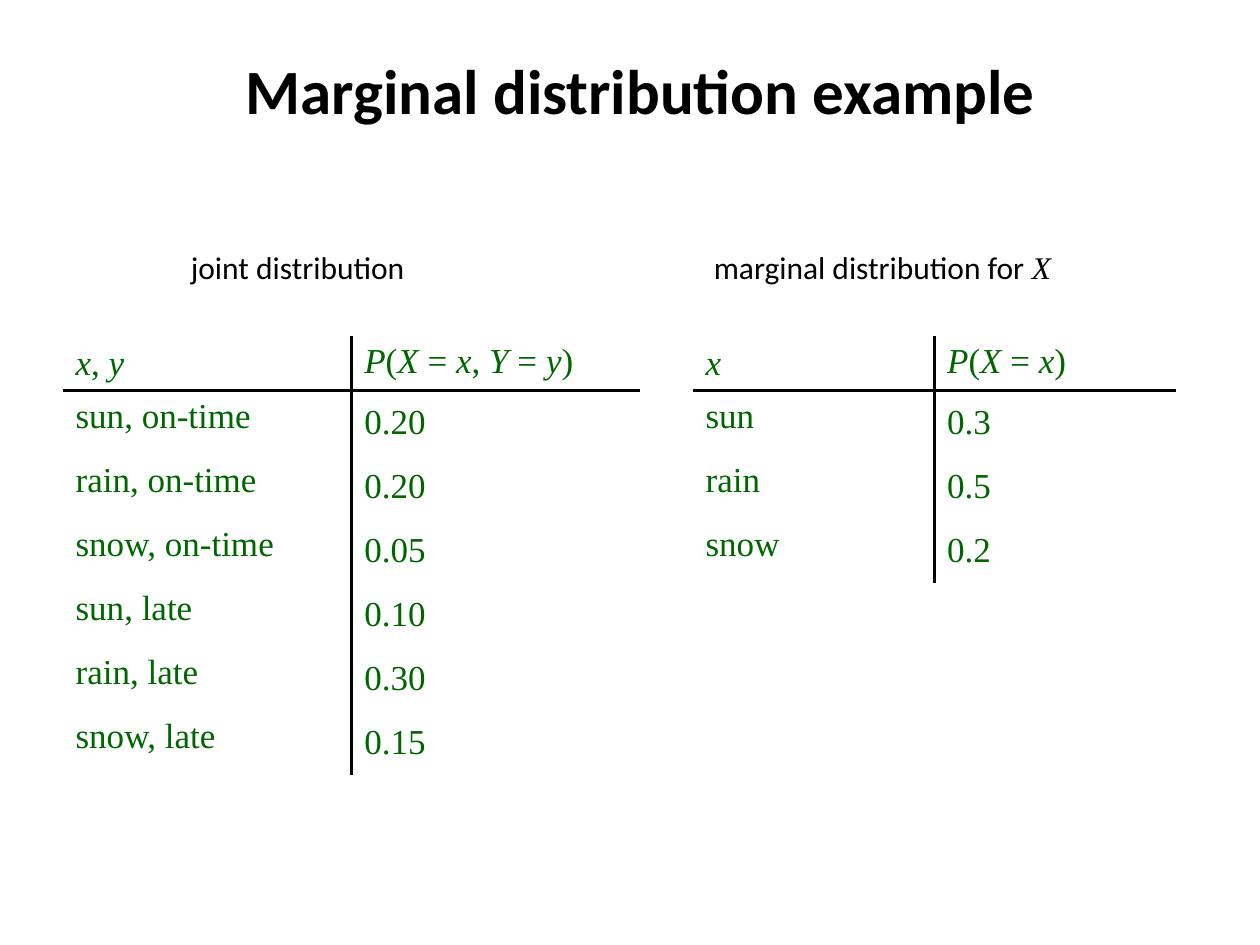
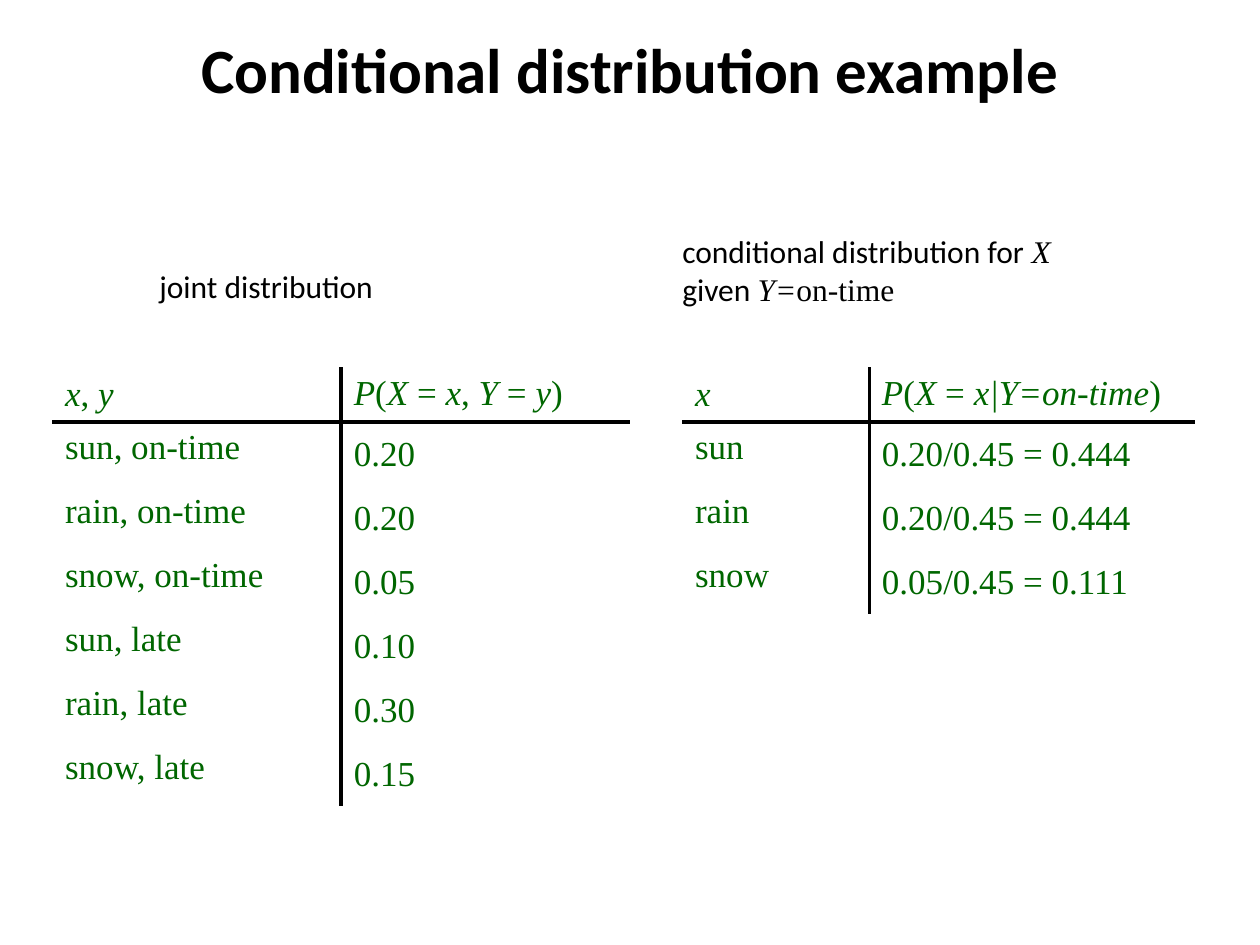
from dataclasses import dataclass, replace

from lxml.etree import SubElement
from pptx import Presentation
from pptx.dml.color import RGBColor
from pptx.enum.text import MSO_VERTICAL_ANCHOR as Anchor, PP_PARAGRAPH_ALIGNMENT as Align
from pptx.oxml.ns import qn
from pptx.util import Pt

EMU_PER_PX = 7620  # 120 px to the inch


@dataclass(frozen=True)
class TextStyle:
    font: str
    size: int
    color: str
    bold: bool = False
    italic: bool = False


@dataclass(frozen=True)
class Theme:
    title: TextStyle = TextStyle("Calibri", 36, "000000", bold=True)
    caption: TextStyle = TextStyle("Calibri", 18, "000000")
    symbol: TextStyle = TextStyle("Times New Roman", 18, "000000")
    cell: TextStyle = TextStyle("Times New Roman", 20, "006600")
    rule_color: str = "000000"
    rule_width: float = 2.25
    space_before: int = 20  # percent of the line


THEME = Theme()
VARIABLE = replace(THEME.symbol, italic=True)
HEADER_HEIGHT, ROW_HEIGHT = 50, 61

JOINT_ROWS = [
    ("*x*, *y*", "*P*(*X* = *x*, *Y* = *y*)"),
    ("sun, on-time", "0.20"),
    ("rain, on-time", "0.20"),
    ("snow, on-time", "0.05"),
    ("sun, late", "0.10"),
    ("rain, late", "0.30"),
    ("snow, late", "0.15"),
]
MARGINAL_ROWS = [
    ("*x*", "*P*(*X* = *x*)"),
    ("sun", "0.3"),
    ("rain", "0.5"),
    ("snow", "0.2"),
]
CONDITIONAL_ROWS = [
    ("*x*", "*P*(*X* = *x|Y=on-time*)"),
    ("sun", "0.20/0.45 = 0.444"),
    ("rain", "0.20/0.45 = 0.444"),
    ("snow", "0.05/0.45 = 0.111"),
]
JOINT_CAPTION = [[("joint distribution", THEME.caption)]]
MARGINAL_CAPTION = [[("marginal distribution for ", THEME.caption), ("X", VARIABLE)]]
CONDITIONAL_CAPTION = [
    [("conditional distribution for ", THEME.caption), ("X", VARIABLE)],
    [("given ", THEME.caption), ("Y=", VARIABLE), ("on-time", THEME.symbol)],
]


def px(*lengths):
    return [length * EMU_PER_PX for length in lengths]


# Text
def write_spans(para, spans):
    for text, style in spans:
        span = para.add_run()
        span.text = text
        font = span.font
        font.name, font.size = style.font, Pt(style.size)
        font.bold, font.italic = style.bold, style.italic
        font.color.rgb = RGBColor.from_string(style.color)


def formula_spans(markup):
    """Split a cell's text at asterisks; every second piece is italic."""
    return [
        (piece, replace(THEME.cell, italic=index % 2 == 1))
        for index, piece in enumerate(markup.split("*"))
        if piece
    ]


def add_text(page, place, paragraphs, align=Align.LEFT, anchor=Anchor.TOP):
    frame = page.shapes.add_textbox(*px(*place)).text_frame
    frame.word_wrap = True
    frame.vertical_anchor = anchor
    for index, spans in enumerate(paragraphs):
        para = frame.add_paragraph() if index else frame.paragraphs[0]
        para.alignment = align
        write_spans(para, spans)


def add_title(page, place, text):
    add_text(page, place, [[(text, THEME.title)]], Align.CENTER, Anchor.MIDDLE)


# Tables
def rule_cell(cell, ruled_sides):
    properties = cell._tc.get_or_add_tcPr()
    for side in "LRTB":
        line = SubElement(properties, qn(f"a:ln{side}"), w=str(Pt(THEME.rule_width)))
        if side in ruled_sides:
            fill = SubElement(line, qn("a:solidFill"))
            SubElement(fill, qn("a:srgbClr"), val=THEME.rule_color)
        else:
            SubElement(line, qn("a:noFill"))


def fill_cell(cell, markup, is_header, is_outcome):
    rule_cell(cell, ("R" if is_outcome else "L") + ("B" if is_header else ""))
    cell.fill.background()
    cell.vertical_anchor = Anchor.MIDDLE if is_header == is_outcome else Anchor.TOP
    para = cell.text_frame.paragraphs[0]
    spacing = SubElement(para._p.get_or_add_pPr(), qn("a:spcBef"))
    SubElement(spacing, qn("a:spcPct"), val=str(THEME.space_before * 1000))
    write_spans(para, formula_spans(markup))


def add_distribution(page, left, top, widths, rows):
    heights = [HEADER_HEIGHT] + [ROW_HEIGHT] * (len(rows) - 1)
    table = page.shapes.add_table(
        len(rows), len(widths), *px(left, top, sum(widths), sum(heights))
    ).table
    table.first_row = table.horz_banding = False
    for column, width in zip(table.columns, px(*widths)):
        column.width = width
    for row, height in zip(table.rows, px(*heights)):
        row.height = height
    for r, row in enumerate(rows):
        for c, markup in enumerate(row):
            cell = table.cell(r, c)
            # Neighbours share the rule under the header
            fill_cell(cell, markup, r == 0, c == 0)
            if r == 1:
                share_header_rule(cell)


def share_header_rule(cell):
    top = cell._tc.tcPr.find(qn("a:lnT"))
    top.remove(top[0])
    fill = SubElement(top, qn("a:solidFill"))
    SubElement(fill, qn("a:srgbClr"), val=THEME.rule_color)


def main():
    deck = Presentation()
    deck.slide_width, deck.slide_height = px(1200, 900)
    blank = deck.slide_layouts[6]

    # Marginal distribution
    page = deck.slides.add_slide(blank)
    add_title(page, (100, 10, 1020, 150), "Marginal distribution example")
    add_distribution(page, 60, 320, (275, 275), JOINT_ROWS)
    add_distribution(page, 660, 320, (230, 230), MARGINAL_ROWS)
    add_text(page, (170, 230, 292, 60), JOINT_CAPTION)
    add_text(page, (668, 230, 412, 53), MARGINAL_CAPTION)

    # Conditional distribution
    page = deck.slides.add_slide(blank)
    add_title(page, (70, 10, 1060, 110), "Conditional distribution example")
    add_distribution(page, 50, 350, (275, 275), JOINT_ROWS)
    add_distribution(page, 650, 350, (178, 310), CONDITIONAL_ROWS)
    add_text(page, (140, 248, 292, 60), JOINT_CAPTION)
    add_text(page, (638, 215, 443, 92), CONDITIONAL_CAPTION)

    deck.save("out.pptx")


if __name__ == "__main__":
    main()
